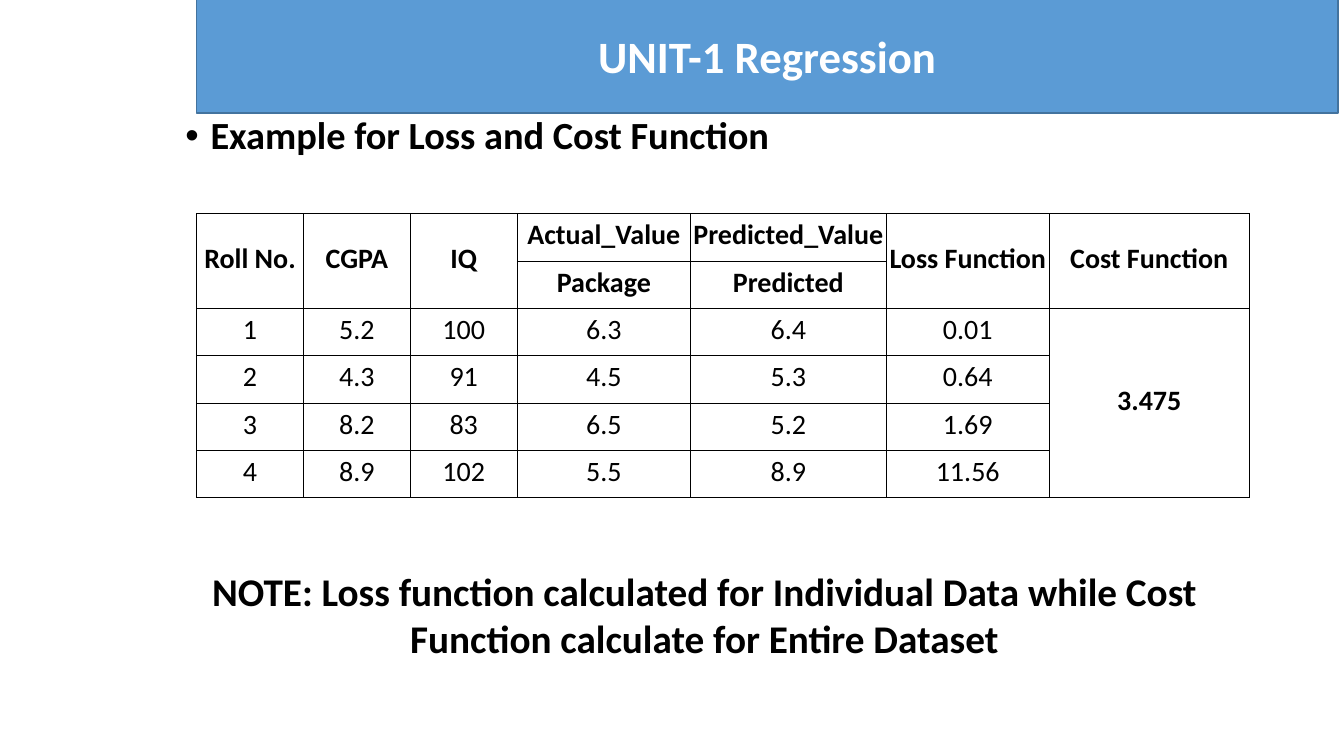
"""Builds the regression slide on loss and cost functions."""
from dataclasses import dataclass

from lxml import etree
from pptx import Presentation
from pptx.dml.color import RGBColor
from pptx.enum.shapes import MSO_SHAPE
from pptx.enum.text import MSO_ANCHOR, PP_ALIGN
from pptx.oxml.ns import qn
from pptx.util import Inches, Pt

CENTER, LEFT = PP_ALIGN.CENTER, PP_ALIGN.LEFT
MIDDLE = MSO_ANCHOR.MIDDLE
RECTANGLE = MSO_SHAPE.RECTANGLE


@dataclass(frozen=True)
class Theme:
    """Colours, font and type sizes of the slide."""
    font: str = "Calibri"
    ink: str = "000000"
    paper: str = "FFFFFF"
    banner: str = "5B9BD5"
    banner_edge: str = "43739E"
    title_size: float = 32
    note_size: float = 28
    bullet_size: float = 27.4
    table_size: float = 20
    border: float = 0.5


COLUMN_WIDTHS = [1.06, 1.06, 1.06, 1.72, 1.94, 1.62, 1.98]
ROW_HEIGHT = 0.47
HEADER_ROWS = 2
COST_COLUMN = 6
ROWS = [
    ["Roll No.", "CGPA", "IQ", "Actual_Value", "Predicted_Value", "Loss Function", "Cost Function"],
    ["", "", "", "Package", "Predicted", "", ""],
    ["1", "5.2", "100", "6.3", "6.4", "0.01", "3.475"],
    ["2", "4.3", "91", "4.5", "5.3", "0.64", ""],
    ["3", "8.2", "83", "6.5", "5.2", "1.69", ""],
    ["4", "8.9", "102", "5.5", "8.9", "11.56", ""],
]
MERGES = [(0, column, 1, column) for column in (0, 1, 2, 5, 6)] + [(2, COST_COLUMN, 5, COST_COLUMN)]


class SlideBuilder:
    """Holds the theme and the current slide, and draws each kind of element."""

    def __init__(self, slide, theme):
        """Keep the slide and its theme."""
        self.slide = slide
        self.theme = theme

    def fill_text(self, frame, text, size, color=None, bold=True, align=CENTER):
        """Put one formatted paragraph in a text frame and return it."""
        para = frame.paragraphs[0]
        para.alignment = align
        span = para.add_run()
        span.text = text
        formats = {"name": self.theme.font, "size": Pt(size), "bold": bold}
        for name, value in formats.items():
            setattr(span.font, name, value)
        span.font.color.rgb = RGBColor.from_string(color or self.theme.ink)
        return para

    def banner(self, text, left, top, width, height):
        """Draw the filled title bar."""
        box = self.slide.shapes.add_shape(
            RECTANGLE, Inches(left), Inches(top), Inches(width), Inches(height))
        box.shadow.inherit = False
        box.fill.solid()
        box.fill.fore_color.rgb = RGBColor.from_string(self.theme.banner)
        box.line.color.rgb = RGBColor.from_string(self.theme.banner_edge)
        box.line.width = Pt(1)
        box.text_frame.vertical_anchor = MIDDLE
        self.fill_text(box.text_frame, text, self.theme.title_size, self.theme.paper)

    def text(self, text, size, left, top, width, height, align=CENTER):
        """Add a wrapping text box and return its paragraph."""
        box = self.slide.shapes.add_textbox(
            Inches(left), Inches(top), Inches(width), Inches(height))
        box.text_frame.word_wrap = True
        return self.fill_text(box.text_frame, text, size, align=align)

    def bullet(self, text, left, top, width, height):
        """Add a text box with one bulleted line."""
        para = self.text(text, self.theme.bullet_size, left, top, width, height, LEFT)
        para.line_spacing = 0.9
        properties = para._p.get_or_add_pPr()
        for name, value in {"marL": Inches(0.75), "indent": Inches(-0.25)}.items():
            properties.set(name, str(value))
        etree.SubElement(properties, qn("a:buFont"), typeface="Arial")
        etree.SubElement(properties, qn("a:buChar"), char="•")

    def outline(self, cell):
        """Give a cell a thin border on every side."""
        properties = cell._tc.get_or_add_tcPr()
        for side in "LRTB":
            line = etree.SubElement(properties, qn(f"a:ln{side}"), w=str(Pt(self.theme.border)))
            fill = etree.SubElement(line, qn("a:solidFill"))
            etree.SubElement(fill, qn("a:srgbClr"), val=self.theme.ink)

    def table(self, rows, widths, merges, left, top):
        """Draw the bordered table with its merged cells."""
        frame = self.slide.shapes.add_table(
            len(rows), len(widths), Inches(left), Inches(top),
            Inches(sum(widths)), Inches(ROW_HEIGHT * len(rows)))
        grid = frame.table
        grid.first_row = grid.horz_banding = False
        for column, width in zip(grid.columns, widths):
            column.width = Inches(width)
        for row in grid.rows:
            row.height = Inches(ROW_HEIGHT)
        formats = {
            "vertical_anchor": MIDDLE,
            "margin_left": Inches(0.01), "margin_right": Inches(0.01),
            "margin_top": Inches(0.01), "margin_bottom": Inches(0.05),
        }
        for row_index, row in enumerate(rows):
            for column_index, text in enumerate(row):
                cell = grid.cell(row_index, column_index)
                for name, value in formats.items():
                    setattr(cell, name, value)
                self.outline(cell)
                cell.fill.background()
                if text:
                    bold = row_index < HEADER_ROWS or column_index == COST_COLUMN
                    self.fill_text(cell.text_frame, text, self.theme.table_size, bold=bold)
        for first_row, first_column, last_row, last_column in merges:
            grid.cell(first_row, first_column).merge(grid.cell(last_row, last_column))


def main():
    """Build and save the deck."""
    deck = Presentation()
    deck.slide_width, deck.slide_height = Inches(13.33), Inches(7.5)
    theme = Theme()
    page = SlideBuilder(deck.slides.add_slide(deck.slide_layouts[6]), theme)
    page.bullet("Example for Loss and Cost Function", 1.24, 1.11, 12.03, 5.84)
    page.banner("UNIT-1 Regression", 1.95, -0.01, 11.32, 1.13)
    page.table(ROWS, COLUMN_WIDTHS, MERGES, 1.95, 2.12)
    page.text("NOTE: Loss function calculated for Individual Data while Cost Function "
              "calculate for Entire Dataset", theme.note_size, 1.47, 5.58, 11.03, 1.04)
    deck.save("out.pptx")


if __name__ == "__main__":
    main()
